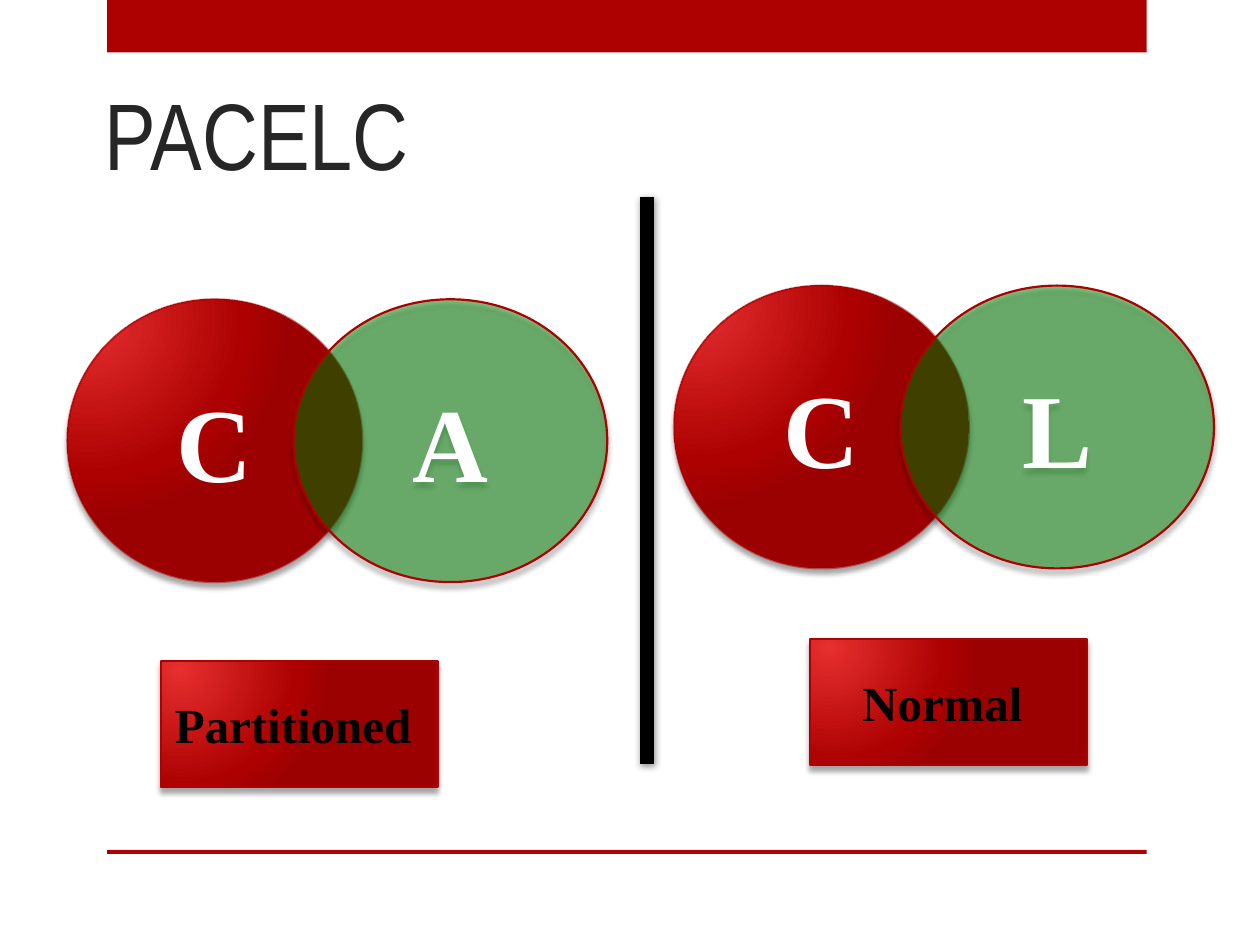
from lxml.etree import SubElement
from pptx import Presentation
from pptx.dml.color import RGBColor
from pptx.enum.shapes import MSO_CONNECTOR, MSO_SHAPE
from pptx.enum.text import MSO_ANCHOR, PP_ALIGN
from pptx.oxml.ns import qn
from pptx.util import Pt

RED = "AD0101"
GRADIENT = [(0, "E62F2F"), (76, RED), (100, "9C0101")]
SERIF = "Times New Roman"


def color(hex_text):
    """Turn a hex string into a colour."""
    return RGBColor.from_string(hex_text)


def add_element(parent, tag, **attributes):
    """Append a DrawingML element with the given attributes."""
    values = {name: str(value) for name, value in attributes.items()}
    return SubElement(parent, qn(f"a:{tag}"), values)


def set_alpha(fill_parent, percent):
    """Make the solid fill inside an element partly transparent."""
    solid = fill_parent.find(qn("a:solidFill"))
    add_element(solid[0], "alpha", val=percent * 1000)


def add_shadow(shape, alpha=35, blur=3, distance=3, angle=90):
    """Give a shape or connector a soft black shadow."""
    effects = add_element(shape.element.spPr, "effectLst")
    shadow = add_element(effects, "outerShdw", blurRad=Pt(blur), dist=Pt(distance),
                         dir=angle * 60000, rotWithShape=0)
    black = add_element(shadow, "srgbClr", val="000000")
    add_element(black, "alpha", val=alpha * 1000)


def set_gradient(shape):
    """Replace the solid fill with the red radial gradient."""
    properties = shape.element.spPr
    gradient = add_element(properties, "gradFill", rotWithShape=1)
    stops = add_element(gradient, "gsLst")
    for position, hex_text in GRADIENT:
        stop = add_element(stops, "gs", pos=position * 1000)
        add_element(stop, "srgbClr", val=hex_text)
    circle = add_element(gradient, "path", path="circle")
    add_element(circle, "fillToRect", l=15000, t=15000, r=100000, b=100000)
    properties.replace(properties.find(qn("a:solidFill")), gradient)


def add_block(page, kind, box, fill=RED):
    """Add a plain filled shape without line or shadow."""
    shape = page.shapes.add_shape(kind, *map(Pt, box))
    shape.shadow.inherit = False
    shape.fill.solid()
    shape.fill.fore_color.rgb = color(fill)
    shape.line.fill.background()
    return shape


def add_labelled(page, kind, box, text, size, text_color, fill=None, line=RED, line_alpha=None):
    """Add a shadowed shape with bold text, in a gradient or a translucent fill."""
    shape = add_block(page, kind, box, fill or RED)
    if fill:
        set_alpha(shape.element.spPr, 50)
    else:
        set_gradient(shape)
    shape.line.color.rgb = color(line)
    shape.line.width = Pt(1.25)
    if line_alpha:
        set_alpha(shape.element.spPr.find(qn("a:ln")), line_alpha)
    properties = shape.element.spPr
    properties.remove(properties.find(qn("a:effectLst")))
    add_shadow(shape)
    frame = shape.text_frame
    frame.word_wrap = True
    frame.vertical_anchor = MSO_ANCHOR.MIDDLE
    para = frame.paragraphs[0]
    para.text = text
    para.alignment = PP_ALIGN.CENTER
    para.font.name = SERIF
    para.font.size = Pt(size)
    para.font.bold = True
    para.font.color.rgb = color(text_color)


def add_venn(page, box, letters):
    """Draw two overlapping ellipses inside the box."""
    left, top, width, height = box
    first, second = 168.5, 179.3
    add_labelled(page, MSO_SHAPE.OVAL, (left, top, first, height), letters[0],
                 60, "FFFFFF", line="AA0000", line_alpha=50)
    add_labelled(page, MSO_SHAPE.OVAL, (left + width - second, top, second, height),
                 letters[1], 60, "FFFFFF", fill="008000")


def add_caption(page, box, text):
    """Draw the caption that names a state."""
    add_labelled(page, MSO_SHAPE.RECTANGLE, box, text, 28, "000000")


def add_divider(page, box):
    """Draw the thick vertical line down the left edge of the box."""
    left, top, _, height = box
    divider = page.shapes.add_connector(MSO_CONNECTOR.STRAIGHT, Pt(left), Pt(top),
                                        Pt(left), Pt(top + height))
    divider.line.color.rgb = color("000000")
    divider.line.width = Pt(8)
    add_shadow(divider, alpha=40, blur=4, distance=1, angle=88)


def add_frame(page, box):
    """Draw the top band and the bottom rule of the box."""
    left, top, width, height = box
    rule = 2.4
    add_block(page, MSO_SHAPE.RECTANGLE, (left, top, width, 30))
    add_block(page, MSO_SHAPE.RECTANGLE, (left, top + height - rule, width, rule))


def set_title(page, box, text):
    """Place and format the title placeholder."""
    title = page.shapes.title
    title.left, title.top, title.width, title.height = map(Pt, box)
    frame = title.text_frame
    frame.vertical_anchor = MSO_ANCHOR.BOTTOM
    para = frame.paragraphs[0]
    para.text = text
    para.alignment = PP_ALIGN.LEFT
    para.font.name = "Arial Narrow"
    para.font.size = Pt(54)
    para.font.color.rgb = color("262626")


def main():
    """Build the slide and save it."""
    deck = Presentation()
    deck.slide_width, deck.slide_height = Pt(720), Pt(540)
    page = deck.slides.add_slide(deck.slide_layouts[5])
    add_frame(page, (61.2, 0, 594, 488))
    set_title(page, (52.6, 21.6, 648, 90), "PACELC")
    add_venn(page, (38.5, 171, 308.5, 161.6), "CA")
    add_venn(page, (385.2, 163.2, 308.5, 161.6), "CL")
    add_divider(page, (370, 112.5, 0, 324))
    add_caption(page, (92, 377.8, 158, 72), "Partitioned ")
    add_caption(page, (463, 365, 158, 72), "Normal ")
    deck.save("out.pptx")


if __name__ == "__main__":
    main()
